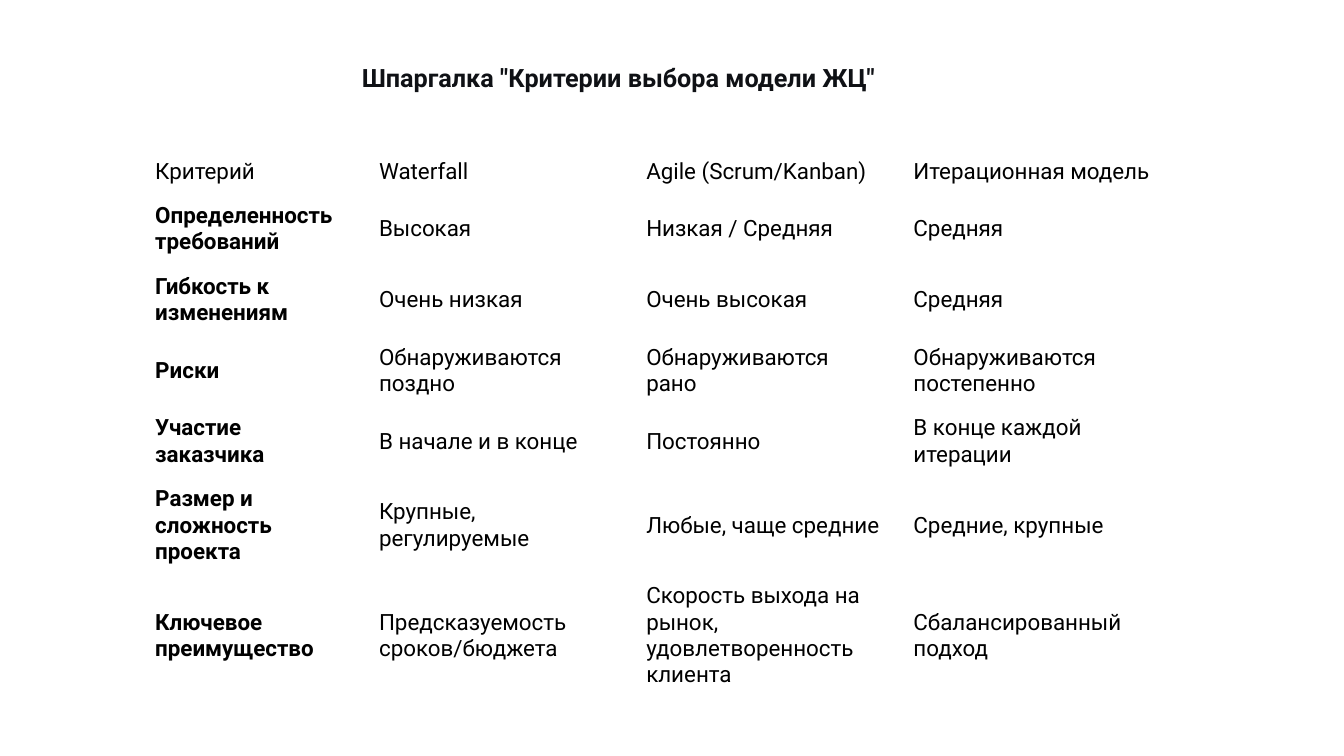
"""Build the slide comparing criteria for choosing a life cycle model."""
from typing import NamedTuple

from pptx import Presentation
from pptx.dml.color import RGBColor
from pptx.enum.text import MSO_ANCHOR
from pptx.util import Inches, Pt


class Criterion(NamedTuple):
    name: str
    waterfall: str
    agile: str
    iterative: str
    height: float = 0.65


class TextStyle(NamedTuple):
    size: float
    spacing: float
    color: str
    bold: bool = False


TITLE = TextStyle(18, 21, "0F1115", True)
BODY = TextStyle(16, 18.8, "000000")
LABEL = BODY._replace(bold=True)
COLUMN_WIDTHS = [2.16] + [2.65] * 3
CRITERIA = [
    Criterion("Критерий", "Waterfall", "Agile (Scrum/Kanban)", "Итерационная модель", 0.41),
    Criterion("Определенность требований", "Высокая", "Низкая / Средняя", "Средняя"),
    Criterion("Гибкость к изменениям", "Очень низкая", "Очень высокая", "Средняя"),
    Criterion("Риски", "Обнаруживаются поздно", "Обнаруживаются рано",
              "Обнаруживаются постепенно"),
    Criterion("Участие заказчика", "В начале и в конце", "Постоянно",
              "В конце каждой итерации"),
    Criterion("Размер и сложность проекта", "Крупные, регулируемые",
              "Любые, чаще средние", "Средние, крупные"),
    Criterion("Ключевое преимущество", "Предсказуемость сроков/бюджета",
              "Скорость выхода на рынок, удовлетворенность клиента",
              "Сбалансированный подход", 1.11),
]


def rgb(color: str) -> RGBColor:
    return RGBColor.from_string(color)


def write(tf, text: str, style: TextStyle) -> None:
    p = tf.paragraphs[0]
    p.text = text
    p.line_spacing = Pt(style.spacing)
    p.font.name = "Roboto"
    p.font.size = Pt(style.size)
    p.font.bold = style.bold
    p.font.color.rgb = rgb(style.color)


def fill_cell(cell, text: str, style: TextStyle, left: float) -> None:
    cell.fill.solid()
    cell.fill.fore_color.rgb = rgb("FFFFFF")
    cell.vertical_anchor = MSO_ANCHOR.MIDDLE
    cell.margin_left = Inches(left)
    cell.margin_right = Inches(0.15)
    cell.margin_top = cell.margin_bottom = Inches(0.09)
    write(cell.text_frame, text, style)


def add_criteria(s) -> None:
    table = s.shapes.add_table(
        len(CRITERIA), len(COLUMN_WIDTHS), Inches(1.45), Inches(1.48),
        Inches(sum(COLUMN_WIDTHS)), Inches(sum(c.height for c in CRITERIA))).table
    table.first_row = True
    table.horz_banding = False
    for column, width in zip(table.columns, COLUMN_WIDTHS):
        column.width = Inches(width)
    for i, criterion in enumerate(CRITERIA):
        table.rows[i].height = Inches(criterion.height)
        for j, text in enumerate(criterion[:-1]):
            style = LABEL if i and not j else BODY
            fill_cell(table.cell(i, j), text, style, 0.15 if j else 0.09)


def add_title(s) -> None:
    sp = s.shapes.add_textbox(Inches(3.49), Inches(0.58), Inches(6.66), Inches(0.4))
    sp.text_frame.word_wrap = True
    write(sp.text_frame, 'Шпаргалка "Критерии выбора модели ЖЦ"', TITLE)


def main() -> None:
    prs = Presentation()
    prs.slide_width, prs.slide_height = Inches(13.33), Inches(7.5)
    s = prs.slides.add_slide(prs.slide_layouts[6])
    add_criteria(s)
    add_title(s)
    prs.save("out.pptx")


if __name__ == "__main__":
    main()
